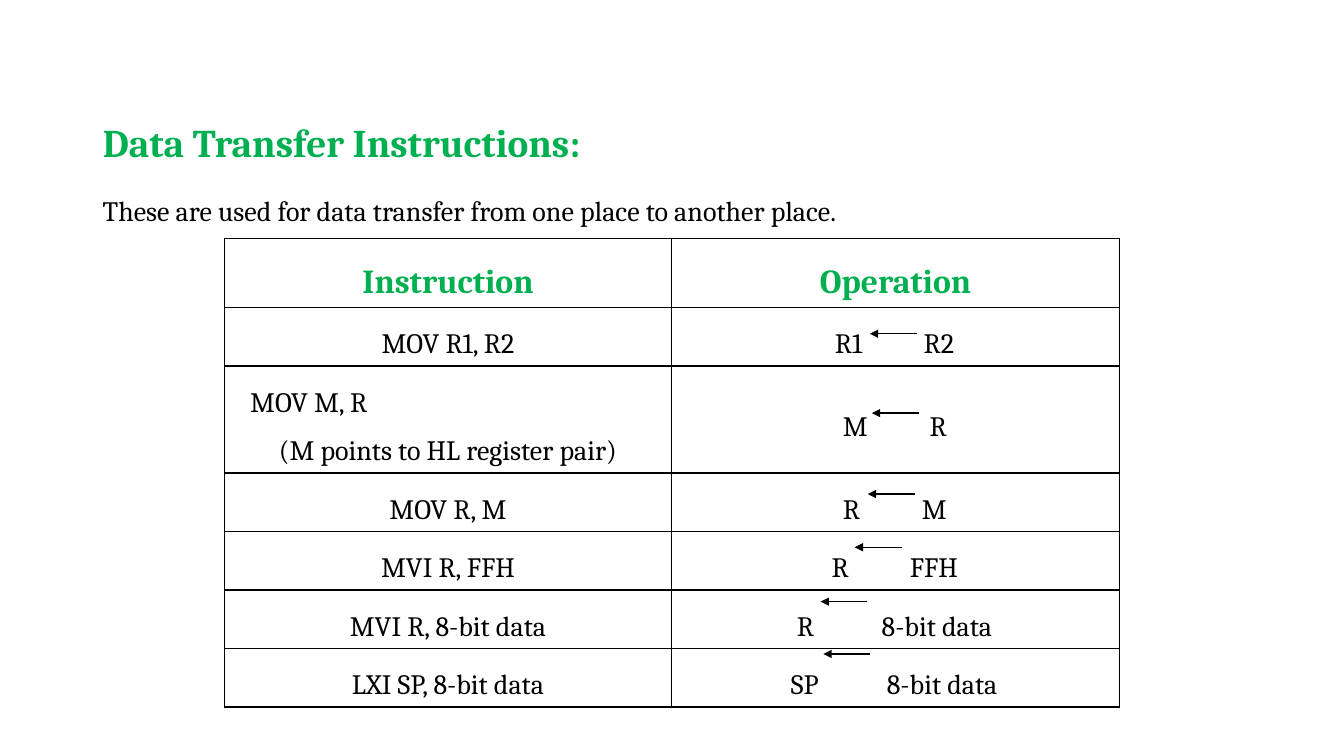
from pptx import Presentation
from pptx.dml.color import RGBColor
from pptx.enum.shapes import MSO_CONNECTOR
from pptx.enum.text import MSO_ANCHOR, MSO_AUTO_SIZE, PP_ALIGN
from pptx.oxml.ns import qn
from pptx.util import Cm, Pt
from lxml.etree import SubElement, Element

# Content
TITLE = "Data Transfer Instructions:"
INTRO = "These are used for data transfer from one place to another place."
HEADERS = ["Instruction", "Operation"]
# instruction lines, target and source with their left edges, arrow tip (cm)
ROWS = [
    (["MOV R1, R2"], ("R1", 21.04), ("R2", 23.28), (21.92, 8.41)),
    (["MOV M, R", "(M points to HL register pair)"],
     ("M", 21.24), ("R", 23.43), (21.97, 10.41)),
    (["MOV R, M"], ("R", 21.24), ("M", 23.23), (21.87, 12.45)),
    (["MVI R, FFH"], ("R", 20.96), ("FFH", 22.93), (21.54, 13.79)),
    (["MVI R, 8-bit data"], ("R", 20.08), ("8-bit data", 22.22), (20.68, 15.16)),
    (["LXI SP, 8-bit data"], ("SP", 19.93), ("8-bit data", 22.35), (20.75, 16.48)),
]

# Formats and measures (cm)
COLORS = {"green": "00B050", "black": "000000", "white": "FFFFFF"}
TITLE_FONT = {"size": Pt(28), "bold": True, "color": "green"}
HEAD_FONT = {"size": Pt(24), "bold": True, "color": "green"}
BODY_FONT = {"size": Pt(20), "bold": False, "color": "black"}
TEXT_LEFT, TEXT_WIDTH = 2.34, 29.2
TABLE_LEFT, TABLE_TOP, COL_WIDTH = 5.65, 6.02, 11.28
HEAD_HEIGHT, LINE_HEIGHT, PADDING = 1.73, 1.22, 0.25
ARROW_LENGTH = 1.18


def rgb(name):
    return RGBColor.from_string(COLORS[name])


def write(p, text, style, align):
    p.alignment = align
    p.line_spacing = 1.5
    p.space_before = Pt(0)
    r = p.add_run()
    r.text = text
    r.font.name = "Cambria"
    for key, value in style.items():
        if key == "color":
            r.font.color.rgb = rgb(value)
        else:
            setattr(r.font, key, value)


def place_text(s, top, height, text, style):
    s.left, s.top, s.width, s.height = (
        Cm(v) for v in (TEXT_LEFT, top, TEXT_WIDTH, height))
    tf = s.text_frame
    tf.word_wrap = True
    tf.auto_size = MSO_AUTO_SIZE.NONE
    tf.vertical_anchor = MSO_ANCHOR.TOP
    write(tf.paragraphs[0], text, style, PP_ALIGN.JUSTIFY)


def format_cell(cell):
    cell.vertical_anchor = MSO_ANCHOR.MIDDLE
    cell.fill.solid()
    cell.fill.fore_color.rgb = rgb("white")
    tcPr = cell._tc.get_or_add_tcPr()
    for i, side in enumerate(("lnL", "lnR", "lnT", "lnB")):
        ln = Element(qn(f"a:{side}"), w=str(Pt(1)))
        fill = SubElement(ln, qn("a:solidFill"))
        SubElement(fill, qn("a:srgbClr"), val=COLORS["black"])
        tcPr.insert(i, ln)


def add_arrow(shapes, tip, y):
    s = shapes.add_connector(MSO_CONNECTOR.STRAIGHT, Cm(tip + ARROW_LENGTH),
                             Cm(y), Cm(tip), Cm(y))
    s.line.color.rgb = rgb("black")
    s.line.width = Pt(1)
    SubElement(s.line._get_or_add_ln(), qn("a:tailEnd"), type="triangle")
    SubElement(s._element.spPr, qn("a:effectLst"))


prs = Presentation()
prs.slide_width, prs.slide_height = Cm(33.87), Cm(19.05)
slide = prs.slides.add_slide(prs.slide_layouts[5])
shapes = slide.shapes

# Title and introduction
place_text(shapes.title, 2.26, 1.96, TITLE, TITLE_FONT)
place_text(shapes.add_textbox(0, 0, 0, 0), 4.34, 1.47, INTRO, BODY_FONT)

# Table
heights = [HEAD_HEIGHT] + [PADDING + LINE_HEIGHT * len(row[0]) for row in ROWS]
table = shapes.add_table(len(heights), 2, Cm(TABLE_LEFT), Cm(TABLE_TOP),
                         Cm(2 * COL_WIDTH), Cm(sum(heights))).table
table.first_row = table.horz_banding = False
for col in table.columns:
    col.width = Cm(COL_WIDTH)
for row, height in zip(table.rows, heights):
    row.height = Cm(height)
for cell in table.iter_cells():
    format_cell(cell)
for col, text in enumerate(HEADERS):
    write(table.cell(0, col).text_frame.paragraphs[0], text, HEAD_FONT,
          PP_ALIGN.CENTER)

for i, (lines, (target, x1), (source, x2), arrow) in enumerate(ROWS, 1):
    # Instruction: centred, or indented where a remark follows
    tf = table.cell(i, 0).text_frame
    for n, line in enumerate(lines):
        p = tf.add_paragraph() if n else tf.paragraphs[0]
        indented = n < len(lines) - 1
        write(p, line, BODY_FONT, PP_ALIGN.LEFT if indented else PP_ALIGN.CENTER)
        if indented:
            p._p.get_or_add_pPr().set("marL", str(Cm(0.4)))
    # Operation: target at the cell margin, source at a tab stop
    cell = table.cell(i, 1)
    cell.margin_left = Cm(x1 - TABLE_LEFT - COL_WIDTH)
    p = cell.text_frame.paragraphs[0]
    write(p, f"{target}\t{source}", BODY_FONT, PP_ALIGN.LEFT)
    tabs = SubElement(p._p.get_or_add_pPr(), qn("a:tabLst"))
    SubElement(tabs, qn("a:tab"), pos=str(Cm(x2 - x1)), algn="l")
    add_arrow(shapes, *arrow)

prs.save("out.pptx")
